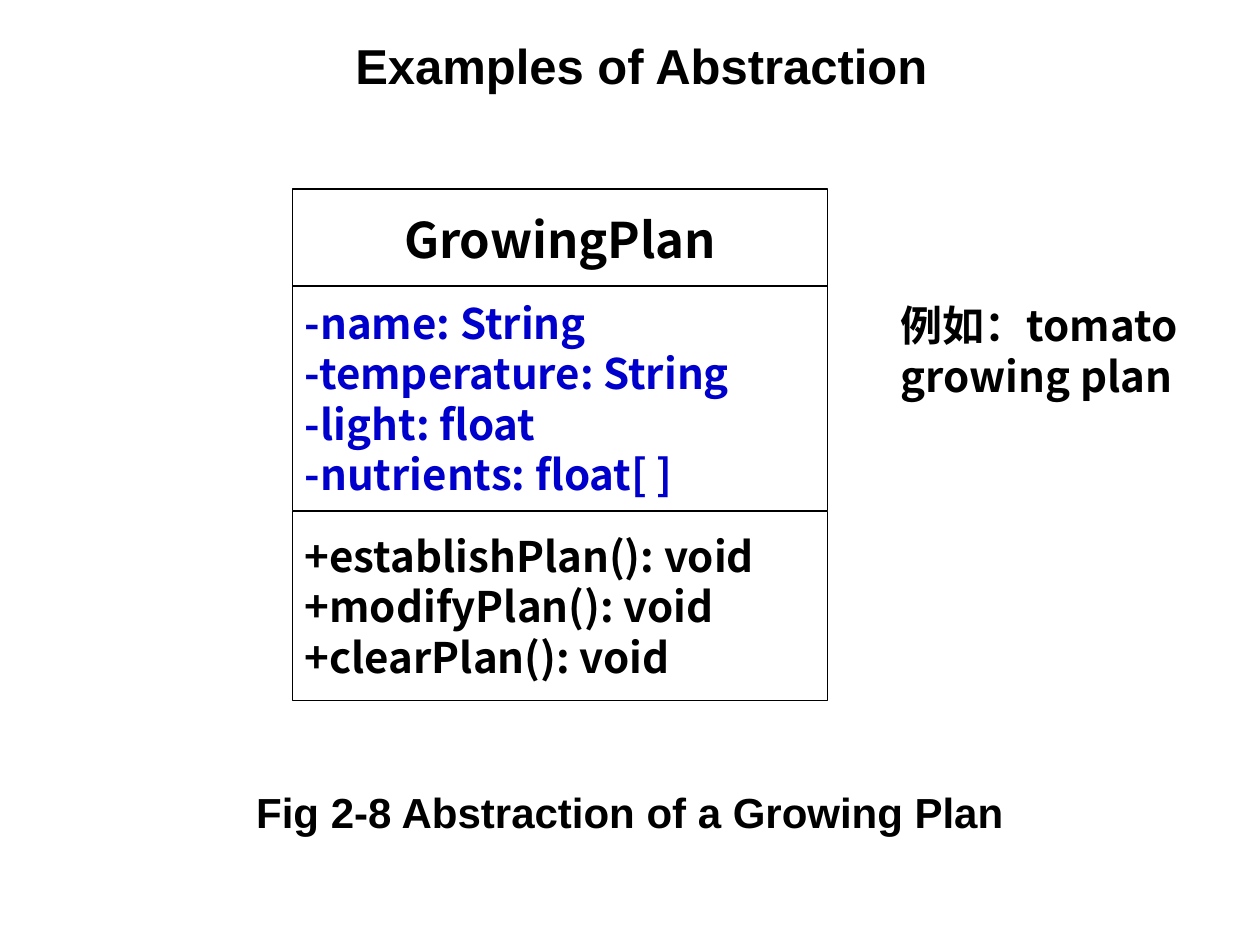
from pptx import Presentation
from pptx.dml.color import RGBColor
from pptx.enum import shapes, text
from pptx.oxml.ns import qn
from pptx.util import Inches, Pt

BLACK = RGBColor(0x00, 0x00, 0x00)
WHITE = RGBColor(0xFF, 0xFF, 0xFF)
BLUE = RGBColor(0x00, 0x00, 0xCC)
LATIN = "Arial"
CJK = "Noto Sans CJK SC"
LEFT, CENTER = text.PP_ALIGN.LEFT, text.PP_ALIGN.CENTER


def write(frame, content, font, size, color=BLACK, align=LEFT):
    """Fill a text frame with bold text, one paragraph a line."""
    frame.text = content
    for para in frame.paragraphs:
        para.alignment = align
        for span in para.runs:
            span.font.name = font
            span.font.size = Pt(size)
            span.font.bold = True
            span.font.color.rgb = color
            east_asian = span.font._element.makeelement(qn("a:ea"), {"typeface": font})
            span.font._element.append(east_asian)


deck = Presentation()
deck.slide_width, deck.slide_height = Inches(10), Inches(7.5)
page = deck.slides.add_slide(deck.slide_layouts[5])

# Title
title = page.shapes.title
title.left, title.top = Inches(2.72), Inches(0.28)
title.width, title.height = Inches(4.8), Inches(0.47)
title.text_frame.vertical_anchor = text.MSO_ANCHOR.MIDDLE
title.text_frame.auto_size = text.MSO_AUTO_SIZE.NONE
write(title.text_frame, "Examples of Abstraction", LATIN, 28)

# Class diagram: name, attributes, operations
attributes = "-name: String\n-temperature: String\n-light: float\n-nutrients: float[ ]"
operations = "+establishPlan(): void\n+modifyPlan(): void\n+clearPlan(): void"
compartments = [
    (1.5, 0.8, "GrowingPlan", 28, BLACK, CENTER),
    (2.27, 1.78, attributes, 24, BLUE, LEFT),
    (4.06, 1.5, operations, 24, BLACK, LEFT),
]
for top, height, content, size, color, align in compartments:
    box = page.shapes.add_shape(
        shapes.MSO_SHAPE.RECTANGLE, Inches(2.32), Inches(top), Inches(4.25), Inches(height))
    box.shadow.inherit = False
    box.fill.solid()
    box.fill.fore_color.rgb = WHITE
    box.line.color.rgb = BLACK
    box.line.width = Pt(0.75)
    box.text_frame.word_wrap = False
    box.text_frame.vertical_anchor = text.MSO_ANCHOR.MIDDLE
    write(box.text_frame, content, CJK, size, color, align)

# Example beside the diagram
example = page.shapes.add_textbox(Inches(7.05), Inches(2.33), Inches(2.44), Inches(1.3))
example.text_frame.word_wrap = True
write(example.text_frame, "例如：tomato growing plan", CJK, 24)

# Figure caption
caption = page.shapes.add_textbox(Inches(0.5), Inches(6.27), Inches(9), Inches(0.43))
caption.text_frame.word_wrap = True
write(caption.text_frame, "Fig 2-8 Abstraction of a Growing Plan", LATIN, 24, align=CENTER)
caption.text_frame.paragraphs[0].line_spacing = 0.8

deck.save("out.pptx")
